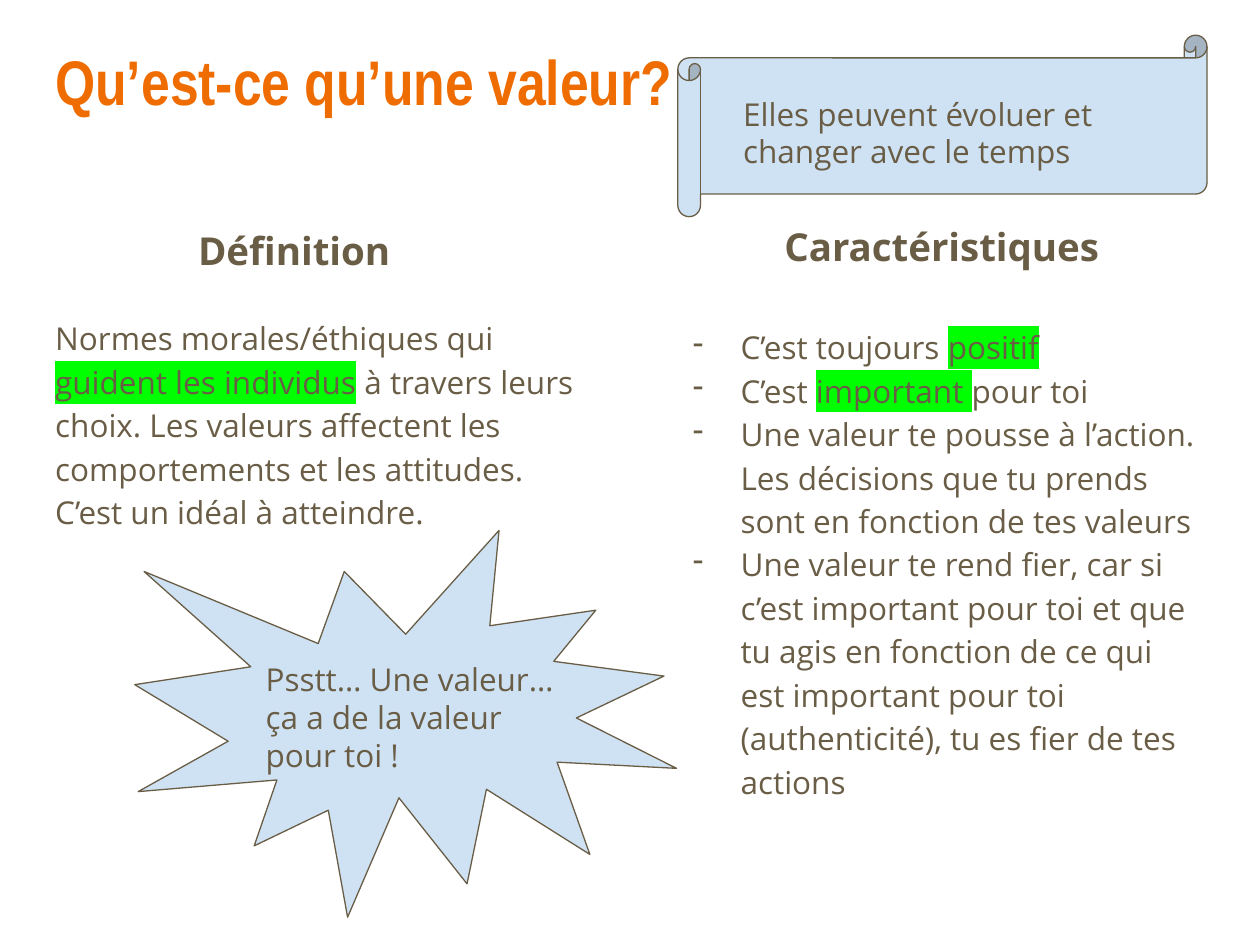
from lxml import etree
from pptx import Presentation
from pptx.dml.color import RGBColor
from pptx.enum import shapes, text
from pptx.oxml import ns
from pptx.util import Pt

SCALE = 9144
HUE = {"title": "EF6C00", "ink": "695D46", "pale": "CFE2F3", "mark": "00FF00"}
BODY = "Open Sans"


def px(*nums):
    return [n * SCALE for n in nums]


def rgb(key):
    return RGBColor.from_string(HUE[key])


def tint(node, key):
    etree.SubElement(node, ns.qn("a:srgbClr"), val=HUE[key])


def style(run, size, key="ink", face=BODY, bold=False, mark=False):
    font = run.font
    font.size, font.bold = Pt(size), bold
    font.color.rgb = rgb(key)
    if mark:
        tint(etree.SubElement(run._r.get_or_add_rPr(), ns.qn("a:highlight")), "mark")
    font.name = face


def dash(para):
    props = para._p.get_or_add_pPr()
    left, hang = px(50, 38)
    props.set("marL", str(left))
    props.set("indent", str(-hang))
    tint(etree.SubElement(props, ns.qn("a:buClr")), "ink")
    etree.SubElement(props, ns.qn("a:buChar"), char="-")


def frame(slide, box):
    area = slide.shapes.add_textbox(*px(*box)).text_frame
    area.word_wrap = True
    area.margin_left, area.margin_top, area.margin_right, area.margin_bottom = px(10, 10, 10, 10)
    return area


def label(slide, box, words, size, **look):
    area = frame(slide, box)
    area.text = words
    para = area.paragraphs[0]
    style(para.runs[0], size, **look)
    return para


def column(slide, box, shift, drop, name, items, listed=False):
    x, y, w, h = box
    head = label(slide, (x + shift, y, 373, 40), name, 22, bold=True)
    head.alignment = text.PP_ALIGN.CENTER
    area = frame(slide, (x, y + drop, w, h - drop))
    for i, parts in enumerate(items):
        para = area.add_paragraph() if i else area.paragraphs[0]
        para.line_spacing = 1.15
        if listed:
            dash(para)
        for j, words in enumerate(parts):
            run = para.add_run()
            run.text = words
            style(run, 18, mark=j % 2 == 1)


def callout(slide, kind, box, inner, words):
    x, y, w, h = box
    shape = slide.shapes.add_shape(kind, *px(*box))
    shape.shadow.inherit = False
    shape.fill.solid()
    shape.fill.fore_color.rgb = rgb("pale")
    shape.line.color.rgb = rgb("ink")
    shape.line.width = Pt(0.75)
    dx, dy, tw, th = inner
    label(slide, (x + dx, y + dy, tw, th), words, 18)


def main():
    deck = Presentation()
    deck.slide_width, deck.slide_height = px(1000, 750)
    slide = deck.slides.add_slide(deck.slide_layouts[6])
    label(slide, (34, 24, 932, 103), "Qu’est-ce qu’une valeur?", 36,
          key="title", face="Arial Narrow", bold=True)
    column(slide, (34, 170, 437, 551), 13, 69, "Définition", [
        ("Normes morales/éthiques qui ", "guident les individus",
         " à travers leurs choix. Les valeurs affectent les comportements"
         " et les attitudes. C’est un idéal à atteindre."),
    ])
    column(slide, (528, 167, 437, 561), 33, 79, "Caractéristiques", [
        ("C’est toujours ", "positif"),
        ("C’est ", "important ", "pour toi"),
        ("Une valeur te pousse à l’action. Les décisions que tu prends"
         " sont en fonction de tes valeurs",),
        ("Une valeur te rend fier, car si c’est important pour toi et que"
         " tu agis en fonction de ce qui est important pour toi"
         " (authenticité), tu es fier de tes actions",),
    ], listed=True)
    kinds = shapes.MSO_SHAPE
    callout(slide, kinds.EXPLOSION1, (107, 421, 430, 307), (94, 93, 257, 72),
            "Psstt… Une valeur… ça a de la valeur pour toi !")
    callout(slide, kinds.HORIZONTAL_SCROLL, (538, 28, 420, 144), (42, 37, 336, 62),
            "Elles peuvent évoluer et changer avec le temps")
    deck.save("out.pptx")


if __name__ == "__main__":
    main()
